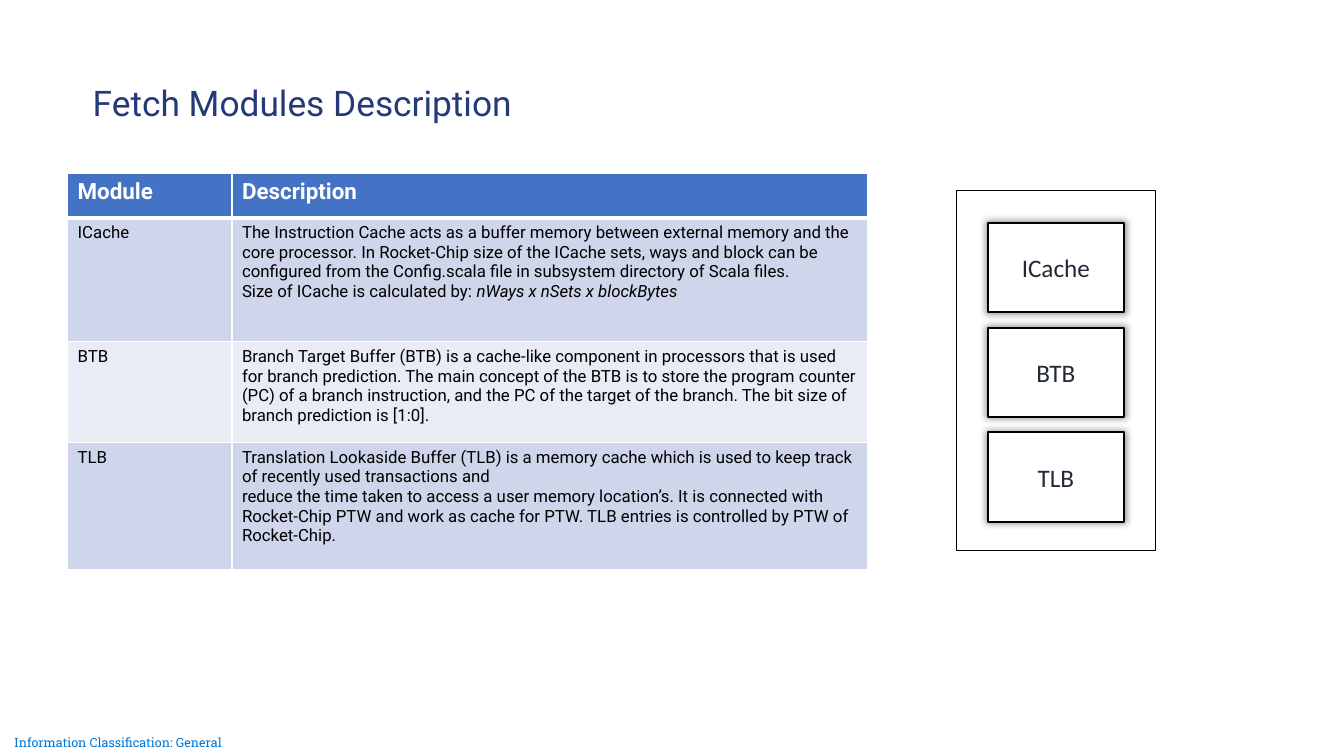
"""Build the slide that describes the fetch modules."""
from dataclasses import dataclass
from typing import Literal

from lxml.etree import SubElement
from pptx import Presentation
from pptx.dml.color import RGBColor
from pptx.enum.shapes import MSO_SHAPE
from pptx.enum.text import MSO_ANCHOR, PP_ALIGN
from pptx.oxml.ns import qn
from pptx.util import Inches, Pt

SLIDE_WIDTH, SLIDE_HEIGHT = Inches(13.33), Inches(7.5)
GRID_COLUMNS = GRID_ROWS = 100
COLORS = {
    "white": "FFFFFF", "black": "000000", "title": "243978", "footer": "0078D7",
    "header": "4472C4", "odd": "CFD5EA", "even": "E9EBF5", "module": "222A35",
}
TABLE_LEFT, TABLE_TOP = 5.03, 23
COLUMN_WIDTHS = (12.23, 47.33)
ROW_HEIGHTS = (5.8, 16.4, 13.33, 16.8)
MODULE_LEFT, MODULE_TOP, MODULE_PITCH = 73.5, 29.5, 13.85
MODULE_WIDTH, MODULE_HEIGHT = 10.13, 11.8


@dataclass(frozen=True)
class Area:
    left: float
    top: float
    width: float
    height: float


@dataclass(frozen=True)
class Style:
    size: float
    color: str
    font: str = "Roboto"
    bold: bool = False


@dataclass(frozen=True)
class Piece:
    text: str
    starts: Literal["", "line", "paragraph"] = ""
    italic: bool = False


@dataclass(frozen=True)
class Module:
    name: str
    description: tuple[Piece, ...]


MODULES = (
    Module("ICache", (
        Piece("The Instruction Cache acts as a buffer memory between external memory "
              "and the core processor. In Rocket-Chip size of the ICache sets, ways and "
              "block can be configured from the Config.scala file in subsystem directory "
              "of Scala files. "),
        Piece("Size of ICache is calculated by: ", starts="line"),
        Piece("nWays x nSets x blockBytes", italic=True),
    )),
    Module("BTB", (
        Piece("Branch Target Buffer (BTB) is a cache-like component in processors that "
              "is used for branch prediction. The main concept of the BTB is to store the "
              "program counter (PC) of a branch instruction, and the PC of the target of "
              "the branch. The bit size of branch prediction is [1:0]."),
    )),
    Module("TLB", (
        Piece("Translation Lookaside Buffer (TLB) is a memory cache which is used to "
              "keep track of recently used transactions and"),
        Piece("reduce the time taken to access a user memory location’s. It is connected "
              "with Rocket-Chip PTW and work as cache for PTW. TLB entries is controlled "
              "by PTW of Rocket-Chip.", starts="paragraph"),
    )),
)


def across(columns: float) -> int:
    """Return the length of a number of grid columns."""
    return round(SLIDE_WIDTH * columns / GRID_COLUMNS)


def down(rows: float) -> int:
    """Return the length of a number of grid rows."""
    return round(SLIDE_HEIGHT * rows / GRID_ROWS)


def place(area: Area) -> tuple[int, int, int, int]:
    """Turn a grid area into slide lengths."""
    return across(area.left), down(area.top), across(area.width), down(area.height)


def color(name: str) -> RGBColor:
    """Look up a colour by name."""
    return RGBColor.from_string(COLORS[name])


def write(frame, pieces: tuple[Piece, ...], style: Style):
    """Fill a text frame run by run and return its last paragraph."""
    paragraph = frame.paragraphs[0]
    for piece in pieces:
        if piece.starts == "paragraph":
            paragraph = frame.add_paragraph()
        elif piece.starts == "line":
            paragraph.add_line_break()
        run = paragraph.add_run()
        run.text = piece.text
        run.font.name = style.font
        run.font.size = Pt(style.size)
        run.font.bold = style.bold
        run.font.italic = piece.italic
        run.font.color.rgb = color(style.color)
    return paragraph


def add_label(slide, area: Area, text: str, style: Style, inset: float):
    """Add a vertically centred line of text and return its paragraph."""
    frame = slide.shapes.add_textbox(*place(area)).text_frame
    frame.word_wrap = True
    frame.vertical_anchor = MSO_ANCHOR.MIDDLE
    frame.margin_left = across(inset)
    frame.margin_right = frame.margin_top = frame.margin_bottom = 0
    return write(frame, (Piece(text),), style)


def add_box(slide, area: Area, line_width: float):
    """Add a white rectangle with a black outline."""
    shape = slide.shapes.add_shape(MSO_SHAPE.RECTANGLE, *place(area))
    shape.shadow.inherit = False
    shape.fill.solid()
    shape.fill.fore_color.rgb = color("white")
    shape.line.color.rgb = color("black")
    shape.line.width = Pt(line_width)
    return shape


def add_glow(shape) -> None:
    """Give a shape a soft shadow on every side."""
    effects = shape._element.spPr.find(qn("a:effectLst"))
    shadow = SubElement(effects, qn("a:outerShdw"), blurRad=str(Pt(5)), sx="102000",
                        sy="102000", algn="ctr", rotWithShape="0")
    black = SubElement(shadow, qn("a:srgbClr"), val=COLORS["black"])
    SubElement(black, qn("a:alpha"), val="40000")


def fill_cell(cell, pieces: tuple[Piece, ...], style: Style, fill: str, row: int) -> None:
    """Write a cell and set its borders and fill."""
    write(cell.text_frame, pieces, style)
    widths = {"lnL": 1, "lnR": 1, "lnT": 3 if row == 1 else 1, "lnB": 3 if row == 0 else 1}
    properties = cell._tc.get_or_add_tcPr()
    for side, width in widths.items():
        border = SubElement(properties, qn(f"a:{side}"), w=str(Pt(width)))
        SubElement(SubElement(border, qn("a:solidFill")), qn("a:srgbClr"), val=COLORS["white"])
    cell.fill.solid()
    cell.fill.fore_color.rgb = color(fill)


def add_module_table(slide) -> None:
    """Add the table of modules and descriptions."""
    area = Area(TABLE_LEFT, TABLE_TOP, sum(COLUMN_WIDTHS), sum(ROW_HEIGHTS))
    table = slide.shapes.add_table(len(ROW_HEIGHTS), len(COLUMN_WIDTHS), *place(area)).table
    for column, width in zip(table.columns, COLUMN_WIDTHS):
        column.width = across(width)
    for row, height in zip(table.rows, ROW_HEIGHTS):
        row.height = down(height)
    contents = [Module("Module", (Piece("Description"),)), *MODULES]
    for row, module in enumerate(contents):
        style = Style(12, "black") if row else Style(16, "white", bold=True)
        fill = ("odd" if row % 2 else "even") if row else "header"
        for column, pieces in enumerate(((Piece(module.name),), module.description)):
            fill_cell(table.cell(row, column), pieces, style, fill, row)


def add_module_stack(slide) -> None:
    """Add the framed stack of module boxes."""
    add_box(slide, Area(71.18, 25.2, 14.8, 47.6), 1)
    for index, module in enumerate(MODULES):
        top = MODULE_TOP + index * MODULE_PITCH
        shape = add_box(slide, Area(MODULE_LEFT, top, MODULE_WIDTH, MODULE_HEIGHT), 1.5)
        add_glow(shape)
        shape.text_frame.vertical_anchor = MSO_ANCHOR.MIDDLE
        paragraph = write(shape.text_frame, (Piece(module.name),), Style(18, "module", "Calibri"))
        paragraph.alignment = PP_ALIGN.CENTER


def main() -> None:
    """Build and save the presentation."""
    presentation = Presentation()
    presentation.slide_width, presentation.slide_height = SLIDE_WIDTH, SLIDE_HEIGHT
    slide = presentation.slides.add_slide(presentation.slide_layouts[6])
    add_label(slide, Area(0, 96.53, 17.48, 3.47), "Information Classification: General",
              Style(9, "footer", "Roboto Slab"), 1.05)
    title = add_label(slide, Area(6.15, 9.6, 86.25, 8.53), "Fetch Modules Description",
                      Style(25.2, "title"), 0.75)
    title.line_spacing = 0.9
    add_module_table(slide)
    add_module_stack(slide)
    presentation.save("out.pptx")


if __name__ == "__main__":
    main()
